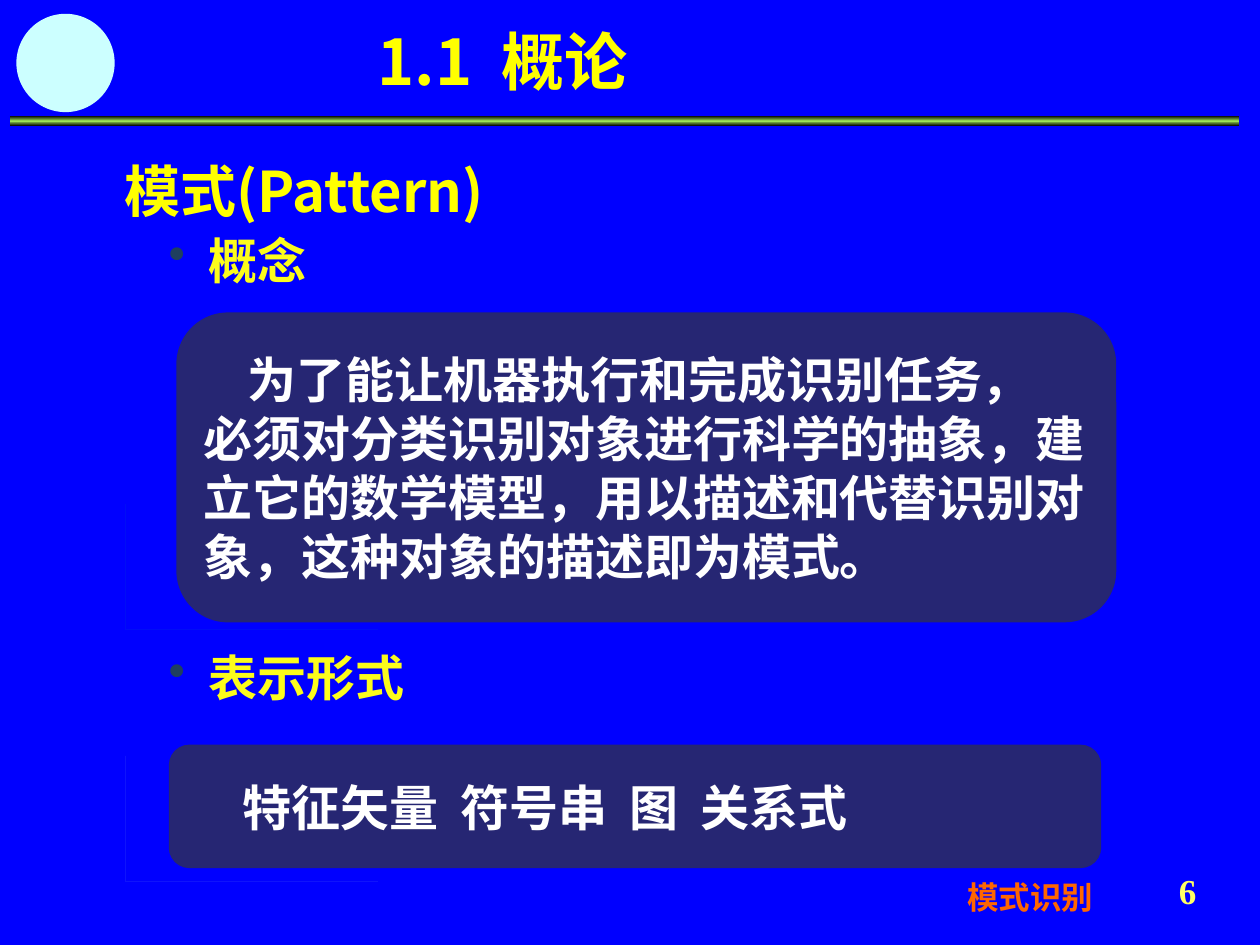
import pptx
import pptx.util
import pptx.dml.color
import pptx.enum.shapes
import pptx.enum.text
import pptx.oxml
import pptx.oxml.ns
import lxml.etree

SANS, LATIN = "Noto Sans CJK SC", "Arial"
KINDS = pptx.enum.shapes.MSO_SHAPE
inch = pptx.util.Inches
qn = pptx.oxml.ns.qn


def paint(fill, color, alpha=None):
    fill.solid()
    fill.fore_color.rgb = pptx.dml.color.RGBColor.from_string(color)
    if alpha is not None:
        tone = fill._xPr.find(qn("a:solidFill"))[0]
        lxml.etree.SubElement(tone, qn("a:alpha"), val=str(alpha * 1000))


def write(holder, text, size, font, color, indent=0, wrap=True):
    frame = holder.text_frame
    frame.text = text
    frame.word_wrap = wrap
    for number, paragraph in enumerate(frame.paragraphs):
        paragraph.alignment = pptx.enum.text.PP_ALIGN.LEFT
        if number == 0 and indent:
            paragraph._p.get_or_add_pPr().set("indent", str(inch(indent)))
        for run in paragraph.runs:
            run.font.size = pptx.util.Pt(size)
            run.font.bold = True
            run.font.name = font
            paint(run.font.fill, color)
            east = lxml.etree.SubElement(run._r.get_or_add_rPr(), qn("a:ea"))
            east.set("typeface", font)
            run._r.rPr.find(qn("a:latin")).addnext(east)
    return frame.paragraphs


deck = pptx.Presentation()
deck.slide_width, deck.slide_height = inch(10), inch(7.5)
slide = deck.slides.add_slide(deck.slide_layouts[6])
paint(slide.background.fill, "0000FF")
shapes = slide.shapes

# Gradient rule and disc of the header
rule = shapes.add_shape(KINDS.RECTANGLE, inch(0.08), inch(0.92), inch(9.75), inch(0.08))
rule.fill.gradient()
rule.fill.gradient_angle = 270
stops = rule._element.spPr.find(qn("a:gradFill")).find(qn("a:gsLst"))
for stop in list(stops):
    stops.remove(stop)
for share, color in ((0, "000000"), (50, "9CE157"), (100, "000000")):
    stop = lxml.etree.SubElement(stops, qn("a:gs"), pos=str(share * 1000))
    lxml.etree.SubElement(stop, qn("a:srgbClr"), val=color)
disc = shapes.add_shape(KINDS.OVAL, inch(0.13), inch(0.11), inch(0.78), inch(0.78))
paint(disc.fill, "CCFFFF")

# Corner brackets, behind the panels
brackets = []
for left, top, color in ((1.14, 6.15, "BBE0E3"), (1.1, 4.22, "009999")):
    outline = [(0.08, 0.77), (0.08, 0), (0, 0), (0, 0.87), (2.14, 0.87), (2.14, 0.77)]
    points = [(left + x, top + y) for x, y in outline]
    builder = shapes.build_freeform(*points[0], scale=inch(1))
    builder.add_line_segments(points[1:], close=True)
    bracket = builder.convert_to_shape()
    paint(bracket.fill, color, 68)
    brackets.append(bracket)

# Rounded panels
definition = ("为了能让机器执行和完成识别任务，\n必须对分类识别对象进行科学的抽象，建\n"
              "立它的数学模型，用以描述和代替识别对\n象，这种对象的描述即为模式。")
forms = "特征矢量  符号串  图  关系式"
panels = []
for left, top, width, height, text, indent in (
        (1.4, 2.48, 7.46, 2.46, definition, 0.35),
        (1.34, 5.91, 7.4, 0.98, forms, 0.44)):
    panel = shapes.add_shape(KINDS.ROUNDED_RECTANGLE, inch(left), inch(top), inch(width), inch(height))
    paint(panel.fill, "262673")
    for paragraph in write(panel, text, 28, SANS, "FFFFFF", indent, wrap=False):
        paragraph.line_spacing = pptx.util.Pt(33.7)
    panels.append(panel)

for figure in [rule, disc, *brackets, *panels]:
    figure.line.fill.background()
    figure.shadow.inherit = False

# Title, heading, footer and page number
labels = {}
for left, top, width, height, text, size, font, color, indent in (
        (2.9, -0.02, 2.82, 0.85, "1.1  概论", 36, SANS, "FFFF00", 0),
        (0.79, 1.19, 3.66, 1.17, "模式(Pattern)", 32, SANS, "FFFF00", 0.1),
        (7.58, 6.92, 1.68, 0.4, "模式识别", 18, LATIN, "FF6600", 0),
        (9.1, 6.85, 0.65, 0.52, "6", 20, "Times New Roman", "FFFF66", 0)):
    box = shapes.add_textbox(inch(left), inch(top), inch(width), inch(height))
    labels[text] = write(box, text, size, font, color, indent)[0]
labels["1.1  概论"].line_spacing = 1.25
labels["6"].alignment = pptx.enum.text.PP_ALIGN.CENTER

# Bulleted topics
for top, width, topic in ((1.78, 1.34, "概念"), (5.09, 2.12, "表示形式")):
    box = shapes.add_textbox(inch(1.24), inch(top), inch(width), inch(0.57))
    line = write(box, topic, 28, LATIN, "FCFC1C", -0.32, wrap=False)[0]
    properties = line._p.get_or_add_pPr()
    properties.set("marL", str(inch(0.32)))
    bullet_color = lxml.etree.SubElement(properties, qn("a:buClr"))
    lxml.etree.SubElement(bullet_color, qn("a:srgbClr"), val="1F3F5F")
    lxml.etree.SubElement(properties, qn("a:buChar"), char="•")

deck.save("out.pptx")
